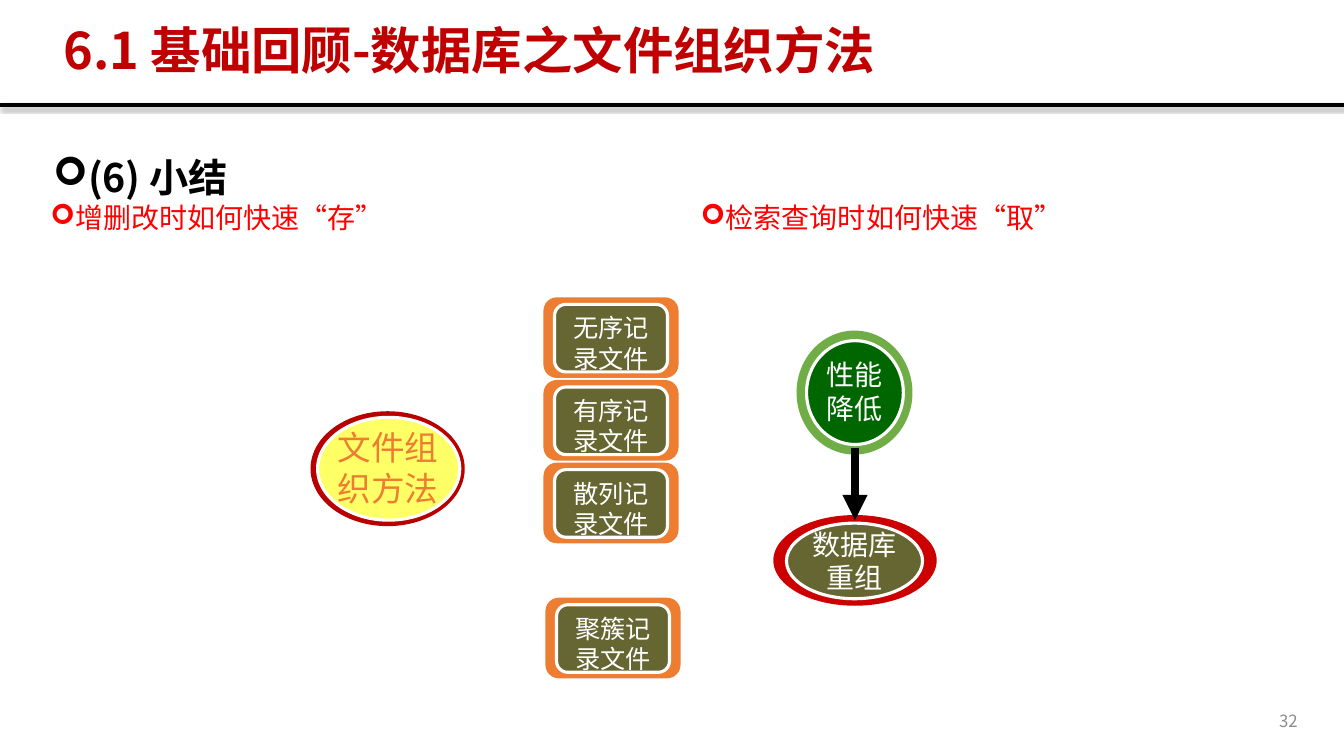
from lxml import etree
from pptx import Presentation
from pptx.dml.color import RGBColor
from pptx.enum import shapes, text
from pptx.oxml import ns
from pptx.util import Inches, Pt

BLACK = RGBColor(0, 0, 0)
WHITE = RGBColor(255, 255, 255)
TITLE_RED = RGBColor(0xC0, 0, 0)
POINT_RED = RGBColor(255, 0, 0)
RING_RED = RGBColor(0xCC, 0, 0)
DARK_RED = RGBColor(0xB9, 0, 0)
ORANGE = RGBColor(0xED, 0x7D, 0x31)
OLIVE = RGBColor(0x66, 0x66, 0x33)
YELLOW = RGBColor(255, 255, 0x66)
LIGHT_GREEN = RGBColor(0x70, 0xAD, 0x47)
GREEN = RGBColor(0, 0x66, 0)
GRAY = RGBColor(0x8C, 0x8C, 0x8C)
SANS = "Noto Sans CJK SC"
OVAL = shapes.MSO_SHAPE.OVAL
ROUNDED = shapes.MSO_SHAPE.ROUNDED_RECTANGLE
LEFT, CENTER, RIGHT = text.PP_ALIGN.LEFT, text.PP_ALIGN.CENTER, text.PP_ALIGN.RIGHT
TOP, MIDDLE = text.MSO_ANCHOR.TOP, text.MSO_ANCHOR.MIDDLE

prs = Presentation()
prs.slide_width, prs.slide_height = Inches(13.33), Inches(7.5)
s = prs.slides.add_slide(prs.slide_layouts[6])


def write(sp, words, size, color, font=SANS, align=CENTER, anchor=TOP, bold=False, bullet=False):
    tf = sp.text_frame
    tf.word_wrap = True
    tf.vertical_anchor = anchor
    p = tf.paragraphs[0]
    p.text = words
    p.alignment = align
    if bullet:
        pPr = p._p.get_or_add_pPr()
        pPr.set("marL", str(Inches(0.25)))
        pPr.set("indent", str(-Inches(0.25)))
        etree.SubElement(pPr, ns.qn("a:buFont")).set("typeface", "Wingdings")
        etree.SubElement(pPr, ns.qn("a:buChar")).set("char", "➢")
    f = p.runs[0].font
    f.name, f.size, f.bold = font, Pt(size), bold
    f.color.rgb = color
    return p


def badge(kind, outer, outer_fill, inner, inner_fill):
    for at, fill in ((outer, outer_fill), (inner, inner_fill)):
        sp = s.shapes.add_shape(kind, *map(Inches, at))
        sp.shadow.inherit = False
        sp.fill.solid()
        sp.fill.fore_color.rgb = fill
        sp.line.fill.background()
    sp.line.color.rgb = WHITE
    sp.line.width = Pt(2.25)
    return sp


rule = s.shapes.add_connector(shapes.MSO_CONNECTOR.STRAIGHT, 0, Inches(1.04), Inches(13.33), Inches(1.04))
rule.line.color.rgb = BLACK
rule.line.width = Pt(3)
effects = etree.SubElement(rule._element.spPr, ns.qn("a:effectLst"))
shadow = etree.SubElement(effects, ns.qn("a:outerShdw"), blurRad=str(Pt(3.1)), dist=str(Pt(1.8)),
                          dir="5400000", rotWithShape="0")
shade = etree.SubElement(shadow, ns.qn("a:srgbClr"), val="000000")
etree.SubElement(shade, ns.qn("a:alpha"), val="35000")

title = s.shapes.add_textbox(Inches(0.53), Inches(0.2), Inches(11.7), Inches(0.65))
write(title, "6.1 基础回顾-数据库之文件组织方法", 36, TITLE_RED,
      align=LEFT, anchor=MIDDLE, bold=True).line_spacing = 0.9

heading = s.shapes.add_textbox(Inches(0.43), Inches(1.33), Inches(12.53), Inches(5.42))
write(heading, "(6) 小结", 28, BLACK, align=text.PP_ALIGN.JUSTIFY, bold=True, bullet=True).line_spacing = 1.3

number = s.shapes.add_textbox(Inches(9.97), Inches(6.95), Inches(3), Inches(0.4))
write(number, "32", 12, GRAY, align=RIGHT, anchor=MIDDLE)

for left, words in ((0.4, "增删改时如何快速“存”"), (6.85, "检索查询时如何快速“取”")):
    point = s.shapes.add_textbox(Inches(left), Inches(1.94), Inches(6.08), Inches(5.28))
    write(point, words, 20, POINT_RED, align=LEFT, bullet=True)

files = [("无序记录文件", 5.39, 2.95), ("有序记录文件", 5.39, 3.77),
         ("散列记录文件", 5.39, 4.59), ("聚簇记录文件", 5.41, 5.93)]
for words, left, top in files:
    box = badge(ROUNDED, (left, top, 1.34, 0.8), ORANGE, (left + 0.11, top + 0.07, 1.12, 0.67), OLIVE)
    write(box, words, 18, WHITE, "Arial")

badge(OVAL, (3.08, 4.08, 1.53, 1.14), DARK_RED, (3.15, 4.14, 1.41, 1.02), YELLOW)
badge(OVAL, (7.9, 3.28, 1.15, 1.23), LIGHT_GREEN, (8, 3.38, 0.96, 1.03), GREEN)
badge(OVAL, (7.67, 5.11, 1.62, 0.9), RING_RED, (7.8, 5.19, 1.35, 0.75), OLIVE)

labels = [("文件组织方法", (3.18, 4.19, 1.34, 0.87), 24, ORANGE, "Arial"),
          ("性能降低", (8, 3.5, 0.95, 0.77), 20, WHITE, SANS),
          ("数据库 重组", (7.81, 5.18, 1.34, 0.77), 20, WHITE, "Arial")]
for words, at, size, color, font in labels:
    write(s.shapes.add_textbox(*map(Inches, at)), words, size, color, font)

arrow = s.shapes.add_connector(shapes.MSO_CONNECTOR.STRAIGHT, Inches(8.48), Inches(4.44), Inches(8.48), Inches(5.16))
arrow.line.color.rgb = BLACK
arrow.line.width = Pt(6)
etree.SubElement(arrow.line._get_or_add_ln(), ns.qn("a:tailEnd"), type="triangle")
etree.SubElement(arrow._element.spPr, ns.qn("a:effectLst"))

prs.save("out.pptx")
